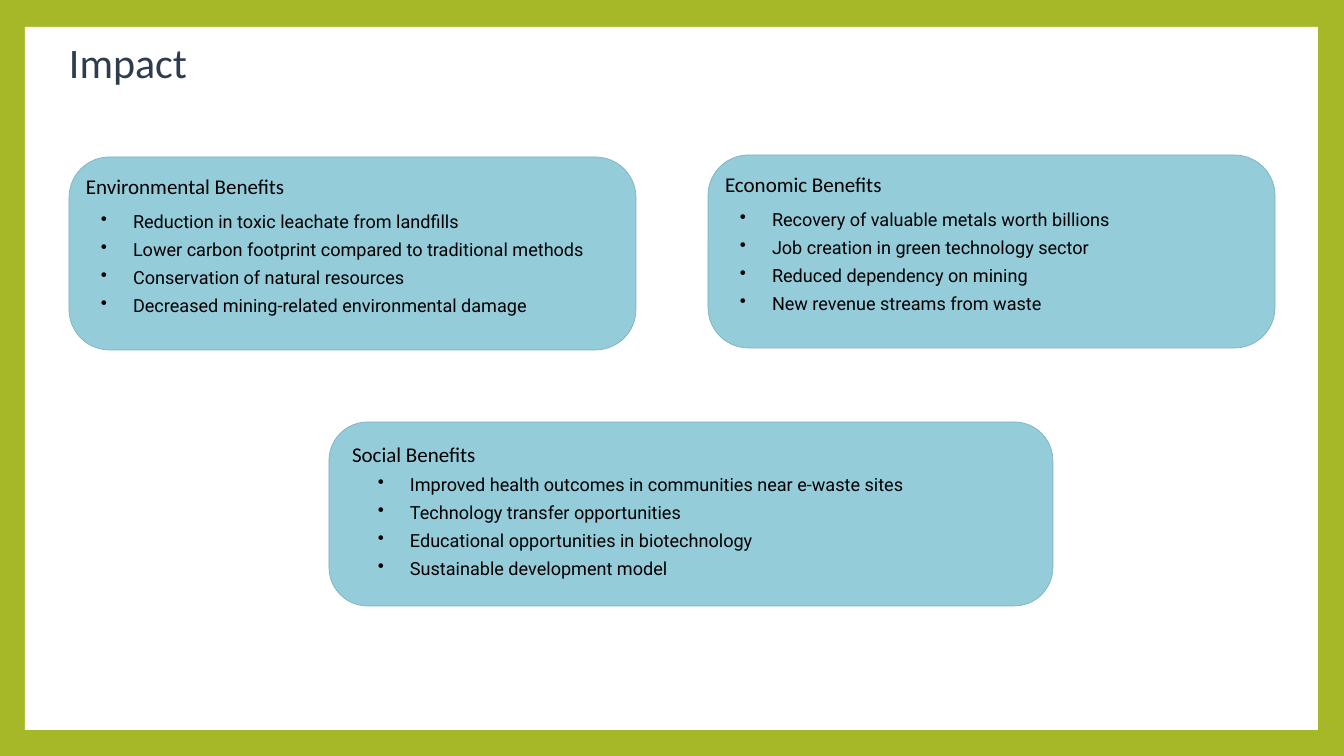
from lxml import etree
from pptx import Presentation
from pptx import util as u
from pptx.dml.color import RGBColor
from pptx.enum import shapes
from pptx.oxml.ns import qn

GREEN = RGBColor(0xA6, 0xB7, 0x27)
WHITE = RGBColor(0xFF, 0xFF, 0xFF)
NAVY = RGBColor(0x2E, 0x3C, 0x4E)
BLACK = RGBColor(0, 0, 0)
AQUA = RGBColor(0x95, 0xCC, 0xDA)
TEAL = RGBColor(0x7B, 0xB2, 0xC0)
SCALE = u.Inches(1) / 84  # EMU in one px

TITLE = {"size": u.Pt(36), "name": "Calibri"}
HEAD = {"size": u.Pt(18), "name": "Calibri"}
ITEM = {"size": u.Pt(15.5), "name": "Roboto"}


def px(*nums):
    return [round(n * SCALE) for n in nums]


def write(box, lines, style, color, lead, gap=0, dent=0):
    """Add a text box; a dent in px makes its lines bullets."""
    frame = slide.shapes.add_textbox(*px(*box)).text_frame
    frame.word_wrap = True
    for side in ("left", "top", "right", "bottom"):
        setattr(frame, f"margin_{side}", 0)
    for i, line in enumerate(lines):
        para = frame.paragraphs[0] if i == 0 else frame.add_paragraph()
        para.line_spacing = u.Pt(lead)
        if i:
            para.space_before = u.Pt(gap)
        if dent:
            props = para._p.get_or_add_pPr()
            hang = px(dent)[0]
            props.set("marL", str(hang))
            props.set("indent", str(-hang))
            etree.SubElement(props, qn("a:buChar")).set("char", "•")
        run = para.add_run()
        run.text = line
        for key, val in style.items():
            setattr(run.font, key, val)
        run.font.color.rgb = color


deck = Presentation()
deck.slide_width, deck.slide_height = px(1344, 756)
slide = deck.slides.add_slide(deck.slide_layouts[6])

# Green frame around a white page
back = slide.background.fill
back.solid()
back.fore_color.rgb = GREEN
page = slide.shapes.add_shape(shapes.MSO_SHAPE.RECTANGLE, *px(25, 27, 1293, 703))
page.shadow.inherit = False
page.fill.solid()
page.fill.fore_color.rgb = WHITE
page.line.fill.background()

write((69, 51, 300, 39), ["Impact"], TITLE, NAVY, 31)

# Cards: box, heading offset, list offset, heading, items
CARDS = [
    ((69, 157, 567, 193), (17, 24), (32, 58), "Environmental Benefits", [
        "Reduction in toxic leachate from landfills",
        "Lower carbon footprint compared to traditional methods",
        "Conservation of natural resources",
        "Decreased mining-related environmental damage"]),
    ((708, 155, 567, 193), (17, 24), (32, 58), "Economic Benefits", [
        "Recovery of valuable metals worth billions",
        "Job creation in green technology sector",
        "Reduced dependency on mining",
        "New revenue streams from waste"]),
    ((329, 422, 724, 184), (23, 27), (49, 56), "Social Benefits", [
        "Improved health outcomes in communities near e-waste sites",
        "Technology transfer opportunities",
        "Educational opportunities in biotechnology",
        "Sustainable development model"]),
]
for box, head, rows, name, items in CARDS:
    left, top, width, height = box
    card = slide.shapes.add_shape(shapes.MSO_SHAPE.ROUNDED_RECTANGLE, *px(*box))
    card.adjustments[0] = 0.21
    card.shadow.inherit = False
    card.fill.solid()
    card.fill.fore_color.rgb = AQUA
    card.line.color.rgb = TEAL
    card.line.width = u.Pt(0.6)
    write((left + head[0], top + head[1], width - 2 * head[0], 18),
          [name], HEAD, BLACK, 15.5)
    write((left + rows[0], top + rows[1], width - rows[0] - 10, 102),
          items, ITEM, BLACK, 14.5, gap=9.5, dent=32)

deck.save("out.pptx")
